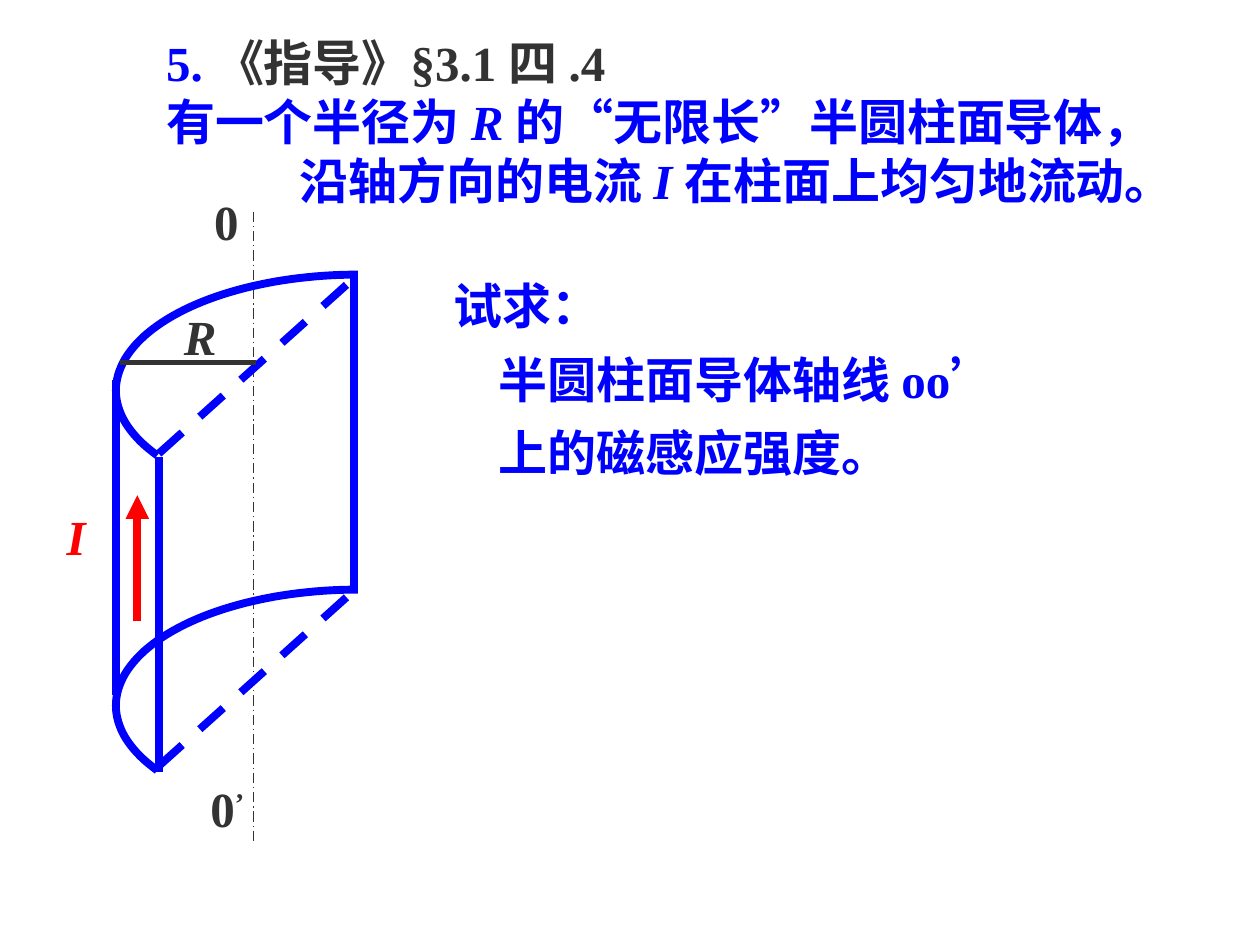
import math
from lxml import etree
from pptx import Presentation
from pptx.dml.color import RGBColor
from pptx.enum import dml, shapes, text
from pptx.oxml.ns import qn
from pptx.util import Inches, Pt

BLUE, GREY, RED = "0000FF", "333333", "FF0000"
FONT, SIZE = "Times New Roman", 28
DASH, LONG_DASH_DOT = dml.MSO_LINE.DASH, dml.MSO_LINE.LONG_DASH_DOT

# Paragraphs: (left indent, [(text, colour, italic)])
problem = [
    (0, [("5. ", BLUE, False), ("《指导》§3.1 四 .4", GREY, False)]),
    (0, [("有一个半径为 ", BLUE, False), ("R ", BLUE, True),
         ("的“无限长”半圆柱面导体，", BLUE, False)]),
    (1.06, [("沿轴方向的电流 ", BLUE, False), ("I ", BLUE, True),
            ("在柱面上均匀地流动。", BLUE, False)]),
]
question = [
    (0.54, [("试求：", BLUE, False)]),
    (0.9, [("半圆柱面导体轴线 oo’", BLUE, False)]),
    (0.9, [("上的磁感应强度。", BLUE, False)]),
]
# Diagram labels: left, top, width, text, colour, italic
labels = [
    (1.36, 2.38, 0.46, "R", GREY, True),
    (0.43, 3.97, 0.35, "I", RED, True),
    (1.6, 1.47, 0.39, "0", GREY, False),
]

# Half cylinder: rim ellipse centre, radii, sweep and height
CENTRE_X, TOP_Y, RADIUS_X, RADIUS_Y = 2.84, 3.1, 1.92, 0.92
START, END, STEPS = 270, 146, 62
HEIGHT = 2.5

# Lines: from, to, colour, width, dash
axis = ((2.01, 1.68), (2.01, 6.68), GREY, 0.75, LONG_DASH_DOT)
edges = [((x, y), (x, y + HEIGHT), BLUE, 4.5, None)
         for x, y in [(0.92, 3.02), (2.81, 2.21), (1.26, 3.63)]]
diameters = [((1.26, y), (2.84, y - 1.42), BLUE, 4.5, DASH)
             for y in (3.6, 6.08)]
current = ((1.09, 4.93), (1.09, 3.93), RED, 4.5, None)
radius = ((2.03, 2.88), (0.95, 2.88), GREY, 3, None)

prs = Presentation()
prs.slide_width, prs.slide_height = Inches(10), Inches(7.5)
slide = prs.slides.add_slide(prs.slide_layouts[6])


def colour(value):
    return RGBColor.from_string(value)


def add_line(start, end, line_colour, width, dash):
    line = slide.shapes.add_connector(
        shapes.MSO_CONNECTOR.STRAIGHT, *map(Inches, start + end))
    line.line.color.rgb = colour(line_colour)
    line.line.width = Pt(width)
    if dash:
        line.line.dash_style = dash
    etree.SubElement(line._element.spPr, qn("a:effectLst"))
    return line


def add_rim(centre_y):
    points = []
    for step in range(STEPS + 1):
        angle = math.radians(START + (END - START) * step / STEPS)
        points.append((Inches(CENTRE_X + RADIUS_X * math.cos(angle)),
                       Inches(centre_y + RADIUS_Y * math.sin(angle))))
    builder = slide.shapes.build_freeform(*points[0])
    builder.add_line_segments(points[1:], close=False)
    rim = builder.convert_to_shape()
    rim.shadow.inherit = False
    rim.fill.background()
    rim.line.color.rgb = colour(BLUE)
    rim.line.width = Pt(4.5)


def add_run(paragraph, words, run_colour, italic):
    run = paragraph.add_run()
    run.text = words
    font = run.font
    font.name, font.size, font.bold, font.italic = FONT, Pt(SIZE), True, italic
    font.color.rgb = colour(run_colour)
    return run


def add_frame(left, top, width, height, wrap):
    frame = slide.shapes.add_textbox(
        *map(Inches, (left, top, width, height))).text_frame
    frame.word_wrap = wrap
    frame.vertical_anchor = text.MSO_ANCHOR.MIDDLE
    return frame


def add_label(left, top, width, words, label_colour, italic):
    paragraph = add_frame(left, top, width, 0.57, False).paragraphs[0]
    paragraph.alignment = text.PP_ALIGN.CENTER
    add_run(paragraph, words, label_colour, italic)
    return paragraph


def add_paragraphs(frame, paragraphs, spacing):
    for i, (indent, runs) in enumerate(paragraphs):
        paragraph = frame.add_paragraph() if i else frame.paragraphs[0]
        paragraph.line_spacing = spacing
        if indent:
            paragraph._p.get_or_add_pPr().set("marL", str(Inches(indent)))
        for run in runs:
            add_run(paragraph, *run)


# Cylinder diagram
add_line(*axis)
for rim_y in (TOP_Y, TOP_Y + HEIGHT):
    add_rim(rim_y)
for segment in edges + diameters + [radius]:
    add_line(*segment)
arrow = add_line(*current)
etree.SubElement(arrow.line._get_or_add_ln(), qn("a:tailEnd"), type="triangle")

# Diagram labels, with a raised prime on the lower axis end
for label in labels:
    add_label(*label)
axis_end = add_label(1.57, 6.13, 0.47, "0", GREY, False)
prime = add_run(axis_end, "’", GREY, False)
prime.font._element.set("baseline", "30000")

# Problem statement and question
add_paragraphs(add_frame(1.22, 0.21, 8.78, 1.5, True), problem, 1.0)
add_paragraphs(add_frame(2.96, 2.02, 5.41, 1.85, True), question, 1.25)

prs.save("out.pptx")
